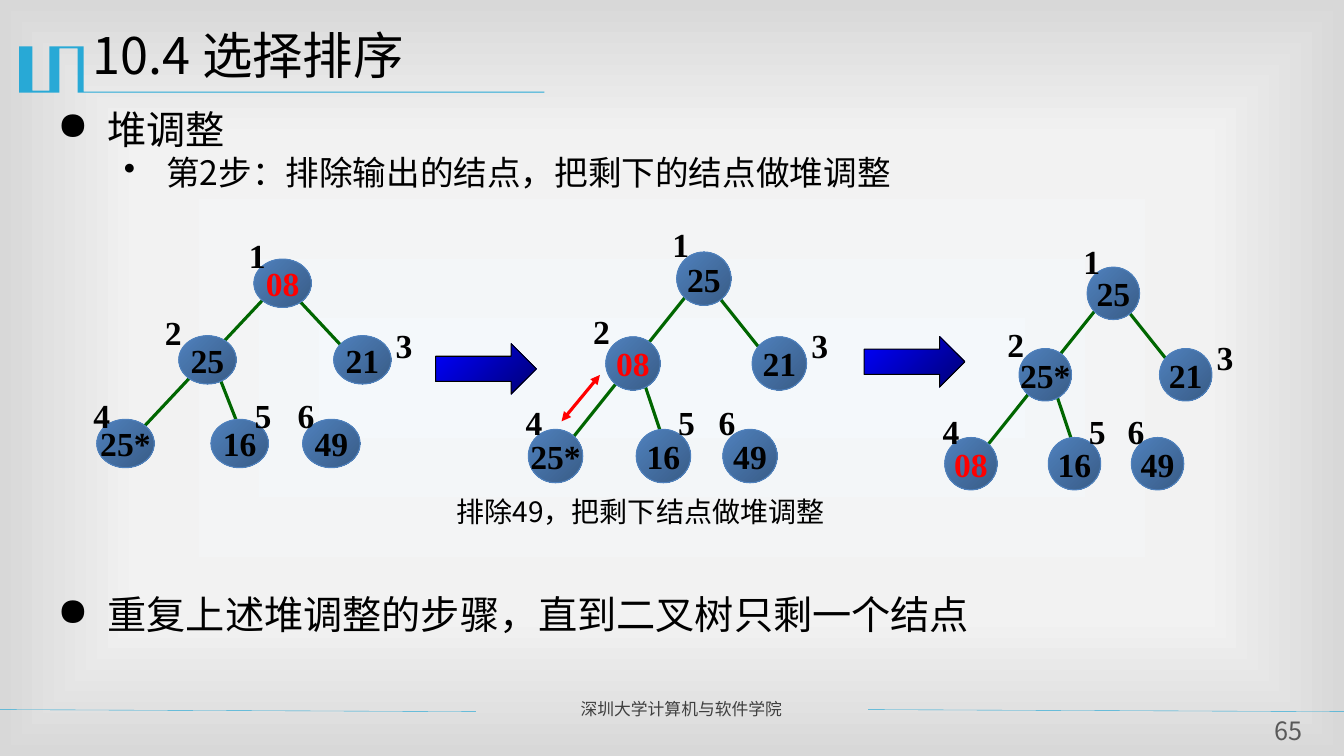
from lxml.etree import SubElement
from pptx import Presentation
from pptx.dml.color import RGBColor
from pptx.enum.shapes import MSO_CONNECTOR, MSO_SHAPE
from pptx.enum.text import MSO_ANCHOR, MSO_AUTO_SIZE, PP_ALIGN
from pptx.oxml import parse_xml
from pptx.oxml.ns import nsdecls, qn
from pptx.util import Pt

PX = 9144  # 100 px to the inch
SANS, SERIF = "Noto Sans CJK SC", "Times New Roman"
BLACK, RED, GREEN, CYAN = "000000", "FF0000", "006600", "28A9D6"

# Places inside a tree, as fractions of the travel left after one node
NODE_PLACES = [(.663, 0), (.346, .478), (1, .478), (0, 1), (.482, 1), (.869, 1)]
LABEL_PLACES = [(.596, -.184), (.242, .302), (1.216, .381),
                (-.06, .816), (.621, .816), (.802, .816)]
EDGES = [((.828, .218), (1.103, .653)), ((.518, .74), (.587, 1)),
         ((.724, .218), (.173, 1.087))]


def color(value):
    return RGBColor.from_string(value)


def emu(*lengths):
    return [round(length * PX) for length in lengths]


def set_attributes(target, values):
    for name, value in values.items():
        setattr(target, name, value)


def write(paragraph, text, size, text_color=BLACK, font=SANS, bold=False,
          align=PP_ALIGN.LEFT, left=0, hanging=0, bullet=None):
    properties = paragraph._p.get_or_add_pPr()
    properties.set("marL", str(left * PX))
    properties.set("indent", str(-hanging * PX))
    if bullet:
        SubElement(properties, qn("a:buChar"), char=bullet)
    set_attributes(paragraph, {"alignment": align, "space_before": Pt(0)})
    run = paragraph.add_run()
    run.text = text
    set_attributes(run.font, {"name": font, "size": Pt(size), "bold": bold})
    run.font.color.rgb = color(text_color)
    SubElement(run._r.get_or_add_rPr(), qn("a:ea"), typeface=font)


def format_frame(frame, wrap=True, top=0, side=10, anchor=MSO_ANCHOR.TOP):
    set_attributes(frame, {
        "word_wrap": wrap, "auto_size": MSO_AUTO_SIZE.NONE, "vertical_anchor": anchor,
        "margin_left": side * PX, "margin_right": side * PX,
        "margin_top": top * PX, "margin_bottom": top * PX})


def add_text(slide, box, text, size, frame_format=None, **text_format):
    frame = slide.shapes.add_textbox(*emu(*box)).text_frame
    format_frame(frame, **(frame_format or {}))
    write(frame.paragraphs[0], text, size, **text_format)
    return frame


def add_line(slide, start, end, line_color, width, arrows=False):
    line = slide.shapes.add_connector(MSO_CONNECTOR.STRAIGHT, *emu(*start, *end))
    line.line.color.rgb = color(line_color)
    line.line.width = Pt(width)
    if arrows:
        outline = line.line._get_or_add_ln()
        for end_name in ("a:headEnd", "a:tailEnd"):
            SubElement(outline, qn(end_name), type="triangle")
    SubElement(line._element.spPr, qn("a:effectLst"))


def add_gradient_shape(slide, kind, box, stops, line_color):
    shape = slide.shapes.add_shape(kind, *emu(*box))
    shape.shadow.inherit = False
    shape.fill.gradient()
    shape.fill.gradient_angle = 315
    for stop, value, position in zip(shape.fill.gradient_stops, stops, (0, 1)):
        stop.color.rgb = color(value)
        stop.position = position
    shape.line.color.rgb = color(line_color)
    shape.line.width = Pt(.75)
    return shape


def add_background(slide):
    slide.background.fill.solid()
    stops = "".join(
        f'<a:gs pos="{position}000"><a:srgbClr val="{value}"/></a:gs>'
        for position, value in [(0, "F4F8FB"), (63, "F2F2F2"), (100, "D8D8D8")])
    gradient = parse_xml(
        f'<a:gradFill {nsdecls("a")} rotWithShape="1"><a:gsLst>{stops}</a:gsLst>'
        '<a:path path="rect"><a:fillToRect l="50000" t="50000" r="50000" b="50000"/>'
        '</a:path></a:gradFill>')
    solid = next(slide.element.iter(qn("a:solidFill")))
    solid.getparent().replace(solid, gradient)


def add_header(slide, box, text):
    left, top, width, height = box
    # Title ornament with its underline
    outline = [(0, 0), (13, 0), (13, 44), (30, 44), (30, 0), (64, 0), (64, 45),
               (521, 45), (521, 46), (58, 46), (58, 2), (40, 2), (40, 46), (0, 46)]
    points = [(left + x, top + 22 + y) for x, y in outline]
    builder = slide.shapes.build_freeform(*points[0], scale=PX)
    builder.add_line_segments(points[1:], close=True)
    ornament = builder.convert_to_shape()
    ornament.shadow.inherit = False
    ornament.fill.solid()
    ornament.fill.fore_color.rgb = color(CYAN)
    ornament.line.fill.background()
    # Title
    title = slide.shapes.title
    title_box = emu(left + 63, top, width - 63, height)
    set_attributes(title, dict(zip(("left", "top", "width", "height"), title_box)))
    format_frame(title.text_frame)
    write(title.text_frame.paragraphs[0], text, 36)


def add_footer(slide, box):
    left, top, width, _ = box
    for start in (left, left + width - 472):
        add_line(slide, (start, top + 13), (start + 472, top + 15), CYAN, .25)
    add_text(slide, (left + 566, top, 285, 30), "深圳大学计算机与软件学院", 12,
             {"top": 2}, text_color="3F3F3F")
    add_text(slide, (left + 1248, top + 19, 59, 31), "65", 18, {"side": 0},
             text_color="595959", align=PP_ALIGN.CENTER)


def add_bullets(slide, box, items):
    frame = None
    for text, level in items:
        size, left, hanging, bullet = [(28, 50, 50, "●"), (24, 108, 42, "•")][level]
        values = dict(left=left, hanging=hanging, bullet=bullet)
        if frame is None:
            frame = add_text(slide, box, text, size, **values)
        else:
            write(frame.add_paragraph(), text, size, **values)


def add_tree(slide, box, node_size, values, red_index):
    left, top, width, height = box
    node_width, node_height = node_size

    def place(fractions):
        x, y = fractions
        return left + x * (width - node_width), top + y * (height - node_height)

    for start, end in EDGES:
        add_line(slide, place(start), place(end), GREEN, 2.25)
    label_format = {"font": SERIF, "bold": True, "align": PP_ALIGN.CENTER}
    for index, (value, fractions) in enumerate(zip(values, NODE_PLACES)):
        node = add_gradient_shape(slide, MSO_SHAPE.OVAL, (*place(fractions), *node_size),
                                  ("4F81BD", "395C87"), "4F81BD")
        format_frame(node.text_frame, wrap=False, top=5, anchor=MSO_ANCHOR.MIDDLE)
        write(node.text_frame.paragraphs[0], value, 24,
              RED if index == red_index else BLACK, **label_format)
    for number, fractions in enumerate(LABEL_PLACES, start=1):
        add_text(slide, (*place(fractions), 38, 50), str(number), 24,
                 {"wrap": False, "top": 5}, **label_format)


def add_step_arrow(slide, box):
    add_gradient_shape(slide, MSO_SHAPE.RIGHT_ARROW, box, ("0000FF", "000076"), BLACK)


def main():
    presentation = Presentation()
    presentation.slide_width, presentation.slide_height = emu(1333, 750)
    slide = presentation.slides.add_slide(presentation.slide_layouts[5])

    add_background(slide)
    add_header(slide, (19, 24, 1263, 87), "10.4 选择排序")
    add_footer(slide, (0, 691, 1333, 59))
    add_bullets(slide, (47, 104, 1213, 137),
                [("堆调整", 0), ("第2步：排除输出的结点，把剩下的结点做堆调整", 1)])
    add_bullets(slide, (47, 586, 1213, 60),
                [("重复上述堆调整的步骤，直到二叉树只剩一个结点", 0)])
    add_text(slide, (393, 491, 457, 44), "排除49，把剩下结点做堆调整", 20, left=50)

    # Heap before, during and after the adjustment
    swapped = ["25", "08", "21", "25*", "16", "49"]
    add_tree(slide, (96, 257, 292, 207), (57, 48),
             ["08", "25", "21", "25*", "16", "49"], 0)
    add_tree(slide, (524, 250, 276, 229), (54, 53), swapped, 1)
    add_line(slide, (557, 418), (595, 372), RED, 2.25, arrows=True)
    add_tree(slide, (937, 265, 265, 221), (52, 52),
             ["25", "25*", "21", "08", "16", "49"], 3)
    for box in [(432, 341, 100, 50), (857, 334, 100, 50)]:
        add_step_arrow(slide, box)

    presentation.save("out.pptx")


if __name__ == "__main__":
    main()
